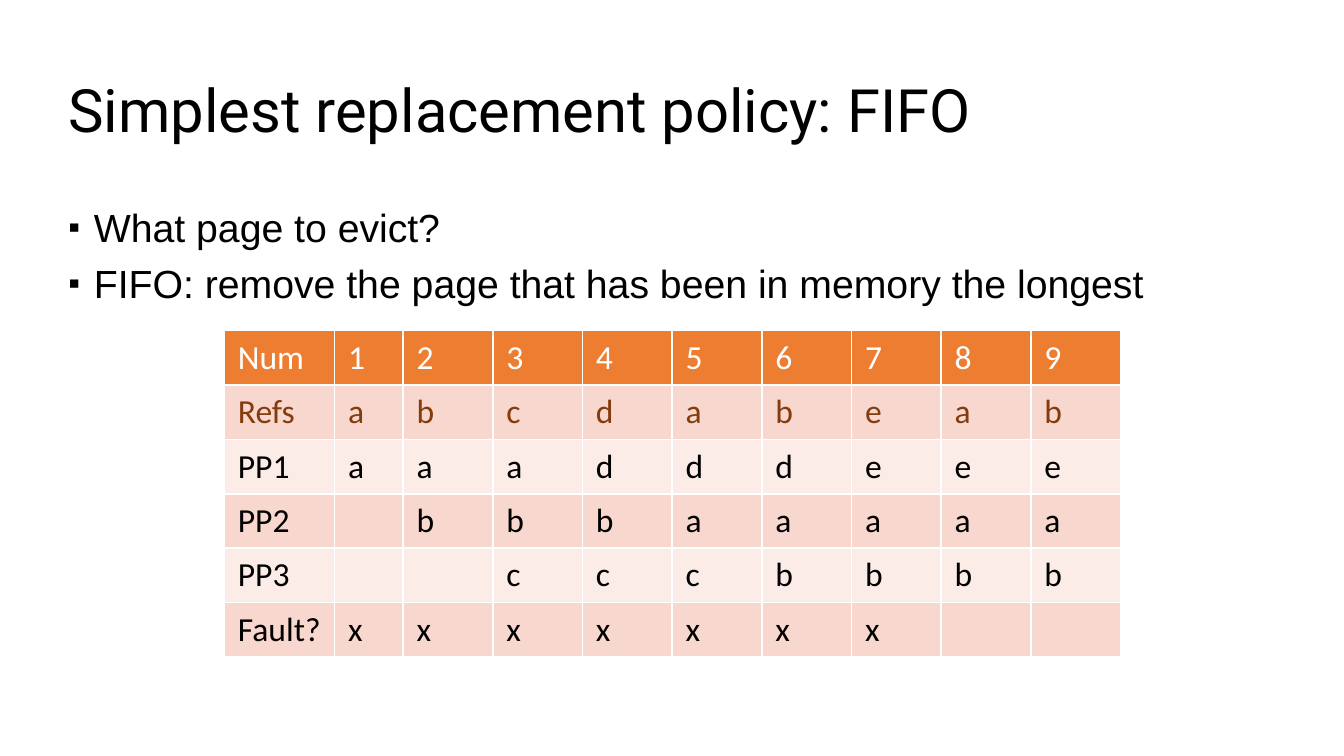
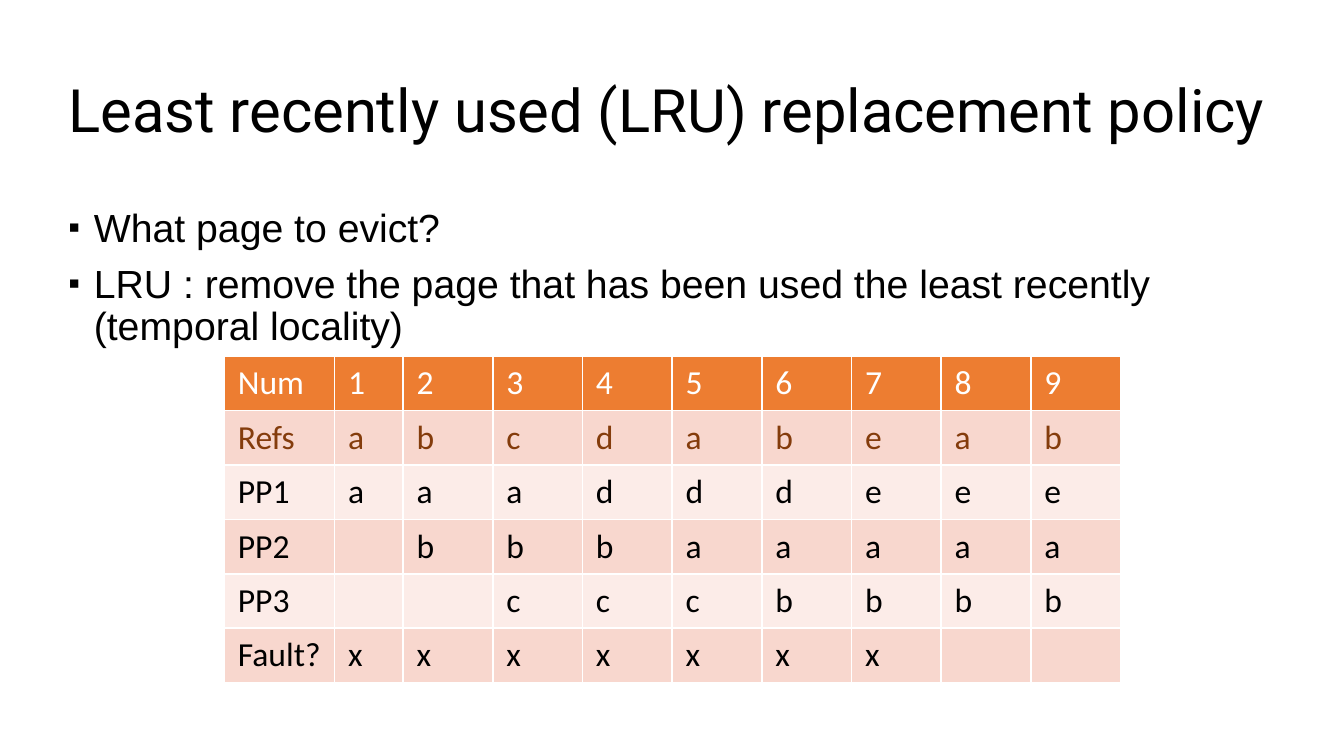
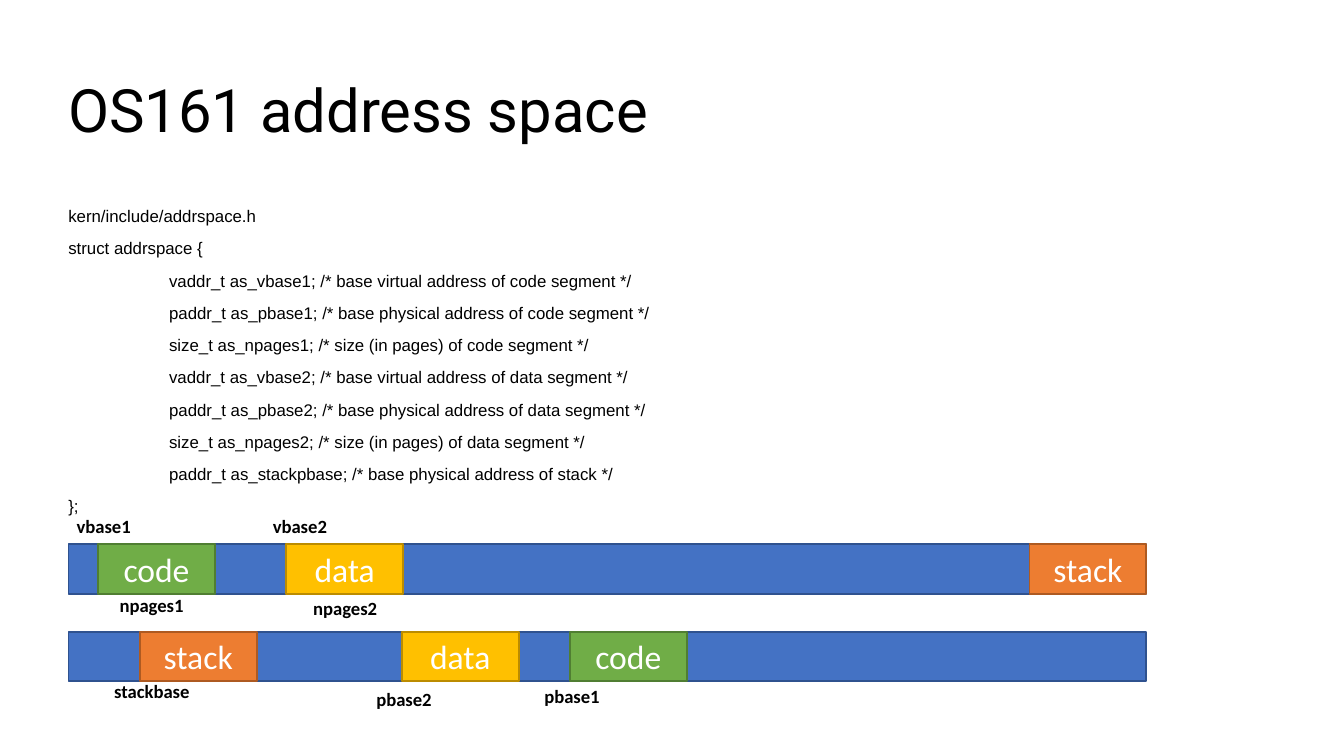
from dataclasses import dataclass

from lxml import etree
from pptx import Presentation
from pptx.dml.color import RGBColor
from pptx.enum.shapes import MSO_SHAPE
from pptx.enum.text import MSO_ANCHOR, MSO_AUTO_SIZE, PP_ALIGN
from pptx.oxml.ns import qn
from pptx.presentation import Presentation as Deck
from pptx.shapes.autoshape import Shape
from pptx.slide import Slide
from pptx.table import _Cell
from pptx.text.text import TextFrame, _Paragraph
from pptx.util import Inches, Pt

RECTANGLE = MSO_SHAPE.RECTANGLE
MIDDLE = MSO_ANCHOR.MIDDLE
CENTER = PP_ALIGN.CENTER
FIT_SHAPE = MSO_AUTO_SIZE.SHAPE_TO_FIT_TEXT

SLIDE_WIDTH = 10
SLIDE_HEIGHT = SLIDE_WIDTH * 9 / 16

COLORS = {
    "text": "000000",
    "white": "FFFFFF",
    "header": "ED7D31",
    "refs": "843C0C",
    "band_dark": "F8D7CE",
    "band_light": "FCECE8",
    "memory": "4472C4",
    "memory_line": "2F528F",
    "code": "70AD47",
    "code_line": "507E32",
    "data": "FFC000",
    "data_line": "BC8C00",
    "stack": "ED7D31",
    "stack_line": "AE5A21",
}
TITLE_FONT, BODY_FONT, LABEL_FONT = "Roboto", "Arial", "Calibri"

# One character per reference; a space is an empty frame.
PAGE_TRACE = (
    ("Num", "123456789"),
    ("Refs", "abcdabeab"),
    ("PP1", "aaadddeee"),
    ("PP2", " bbbaaaaa"),
    ("PP3", "  cccbbbb"),
    ("Fault?", "xxxxxxx  "),
)
TRACE_LEFT, TRACE_WIDTH, TRACE_HEIGHT = 1.67, 6.67, 2.43
NAME_WIDTH, FIRST_WIDTH = 0.82, 0.51

STRUCT_FIELDS = (
    "vaddr_t as_vbase1; /* base virtual address of code segment */",
    "paddr_t as_pbase1; /* base physical address of code segment */",
    "size_t as_npages1; /* size (in pages) of code segment */",
    "vaddr_t as_vbase2; /* base virtual address of data segment */",
    "paddr_t as_pbase2; /* base physical address of data segment */",
    "size_t as_npages2; /* size (in pages) of data segment */",
    "paddr_t as_stackpbase; /* base physical address of stack */",
)
MEMORY_LEFT, MEMORY_WIDTH = 0.51, 8.02
SEGMENT_WIDTH, MEMORY_HEIGHT = 0.87, 0.37
VIRTUAL_TOP, PHYSICAL_TOP = 4.05, 4.7


@dataclass(frozen=True)
class Policy:
    title: str
    rule: str
    trace_top: float


@dataclass(frozen=True)
class Segment:
    name: str
    virtual_left: float
    physical_left: float


@dataclass(frozen=True)
class AddressLabel:
    text: str
    left: float
    top: float
    width: float


POLICIES = (
    Policy("Simplest replacement policy: FIFO",
           "FIFO: remove the page that has been in memory the longest", 2.46),
    Policy("Least recently used (LRU) replacement policy",
           "LRU : remove the page that has been used the least recently "
           "(temporal locality)", 2.65),
)
SEGMENTS = (
    Segment("code", 0.73, 4.24),
    Segment("data", 2.13, 2.99),
    Segment("stack", 7.66, 1.04),
)
ADDRESS_LABELS = (
    AddressLabel("vbase2", 1.9, 3.78, 0.64),
    AddressLabel("vbase1", 0.44, 3.78, 0.64),
    AddressLabel("npages1", 0.76, 4.37, 0.72),
    AddressLabel("npages2", 2.2, 4.39, 0.72),
    AddressLabel("pbase1", 3.92, 5.05, 0.65),
    AddressLabel("pbase2", 2.67, 5.07, 0.65),
    AddressLabel("stackbase", 0.72, 5.01, 0.8),
)


def rgb(name: str) -> RGBColor:
    return RGBColor.from_string(COLORS[name])


def format_runs(paragraph: _Paragraph, font: str, size: float,
                color: str = "text", bold: bool = False) -> None:
    for run in paragraph.runs:
        run.font.name = font
        run.font.size = Pt(size)
        run.font.bold = bold
        run.font.color.rgb = rgb(color)


def add_text_area(slide: Slide, top: float, height: float) -> TextFrame:
    """Add a wrapping text box across the full content width."""
    area = slide.shapes.add_textbox(Inches(0.41), Inches(top),
                                    Inches(9.19), Inches(height))
    area.text_frame.word_wrap = True
    return area.text_frame


def add_titled_slide(deck: Deck, title: str) -> Slide:
    slide = deck.slides.add_slide(deck.slide_layouts[6])
    frame = add_text_area(slide, 0.3, 1.09)
    frame.vertical_anchor = MIDDLE
    frame.text = title
    frame.paragraphs[0].line_spacing = 0.9
    format_runs(frame.paragraphs[0], TITLE_FONT, 32)
    return slide


def add_body(slide: Slide, lines: list[str], size: float) -> list[_Paragraph]:
    frame = add_text_area(slide, 1.5, 3.16)
    frame.text = "\n".join(lines)
    for paragraph in frame.paragraphs:
        paragraph.line_spacing = 0.9
        paragraph.space_before = Pt(7.5)
        format_runs(paragraph, BODY_FONT, size)
    return list(frame.paragraphs)


def set_indent(paragraph: _Paragraph, margin: float, first: float) -> None:
    properties = paragraph._p.get_or_add_pPr()
    properties.set("marL", str(Inches(margin)))
    properties.set("indent", str(Inches(first)))


def add_bullet(paragraph: _Paragraph) -> None:
    set_indent(paragraph, 0.19, -0.19)
    properties = paragraph._p.get_or_add_pPr()
    etree.SubElement(properties, qn("a:buSzPct"), val="85000")
    etree.SubElement(properties, qn("a:buFont"), typeface=BODY_FONT)
    etree.SubElement(properties, qn("a:buChar"), char="▪")


def set_borders(cell: _Cell) -> None:
    """Give a cell white 1 pt edges."""
    properties = cell._tc.get_or_add_tcPr()
    for edge in "LRTB":
        line = etree.SubElement(properties, qn(f"a:ln{edge}"), w=str(Pt(1)))
        fill = etree.SubElement(line, qn("a:solidFill"))
        etree.SubElement(fill, qn("a:srgbClr"), val=COLORS["white"])


def add_page_trace(slide: Slide, top: float) -> None:
    column_count = 1 + len(PAGE_TRACE[0][1])
    table = slide.shapes.add_table(
        len(PAGE_TRACE), column_count, Inches(TRACE_LEFT), Inches(top),
        Inches(TRACE_WIDTH), Inches(TRACE_HEIGHT)).table
    other_width = (TRACE_WIDTH - NAME_WIDTH - FIRST_WIDTH) / (column_count - 2)
    widths = [NAME_WIDTH, FIRST_WIDTH] + [other_width] * (column_count - 2)
    for column, width in zip(table.columns, widths):
        column.width = Inches(width)

    text_colors = {0: "white", 1: "refs"}
    for row, (name, states) in enumerate(PAGE_TRACE):
        band = "band_dark" if row % 2 else "band_light"
        for column, value in enumerate([name, *states]):
            cell = table.cell(row, column)
            cell.text = value.strip()
            format_runs(cell.text_frame.paragraphs[0], LABEL_FONT, 18,
                        text_colors.get(row, "text"))
            set_borders(cell)
            cell.fill.solid()
            cell.fill.fore_color.rgb = rgb(band if row else "header")


def add_block(slide: Slide, left: float, top: float, width: float,
              color: str) -> Shape:
    block = slide.shapes.add_shape(RECTANGLE, Inches(left), Inches(top),
                                   Inches(width), Inches(MEMORY_HEIGHT))
    block.shadow.inherit = False
    block.fill.solid()
    block.fill.fore_color.rgb = rgb(color)
    block.line.color.rgb = rgb(f"{color}_line")
    block.line.width = Pt(1)
    return block


def add_segment(slide: Slide, name: str, left: float, top: float) -> None:
    frame = add_block(slide, left, top, SEGMENT_WIDTH, name).text_frame
    frame.text = name
    frame.vertical_anchor = MIDDLE
    frame.paragraphs[0].alignment = CENTER
    format_runs(frame.paragraphs[0], LABEL_FONT, 18, "white")


def add_address_label(slide: Slide, label: AddressLabel) -> None:
    frame = slide.shapes.add_textbox(
        Inches(label.left), Inches(label.top),
        Inches(label.width), Inches(0.27)).text_frame
    frame.text = label.text
    frame.word_wrap = False
    frame.auto_size = FIT_SHAPE
    frame.margin_left = Inches(0.13)
    format_runs(frame.paragraphs[0], LABEL_FONT, 10, bold=True)


def add_policy_slide(deck: Deck, policy: Policy) -> None:
    slide = add_titled_slide(deck, policy.title)
    for paragraph in add_body(slide, ["What page to evict?", policy.rule], 21):
        add_bullet(paragraph)
    add_page_trace(slide, policy.trace_top)


def add_address_space_slide(deck: Deck) -> None:
    slide = add_titled_slide(deck, "OS161 address space")
    lines = ["kern/include/addrspace.h", "struct addrspace {",
             *STRUCT_FIELDS, "};"]
    for paragraph in add_body(slide, lines, 9)[2:-1]:
        set_indent(paragraph, 0.75, 0)

    for top in (VIRTUAL_TOP, PHYSICAL_TOP):
        add_block(slide, MEMORY_LEFT, top, MEMORY_WIDTH, "memory")
    for segment in SEGMENTS:
        add_segment(slide, segment.name, segment.virtual_left, VIRTUAL_TOP)
        add_segment(slide, segment.name, segment.physical_left, PHYSICAL_TOP)
    for label in ADDRESS_LABELS:
        add_address_label(slide, label)


def main() -> None:
    deck = Presentation()
    deck.slide_width = Inches(SLIDE_WIDTH)
    deck.slide_height = Inches(SLIDE_HEIGHT)
    for policy in POLICIES:
        add_policy_slide(deck, policy)
    add_address_space_slide(deck)
    deck.save("out.pptx")


if __name__ == "__main__":
    main()
